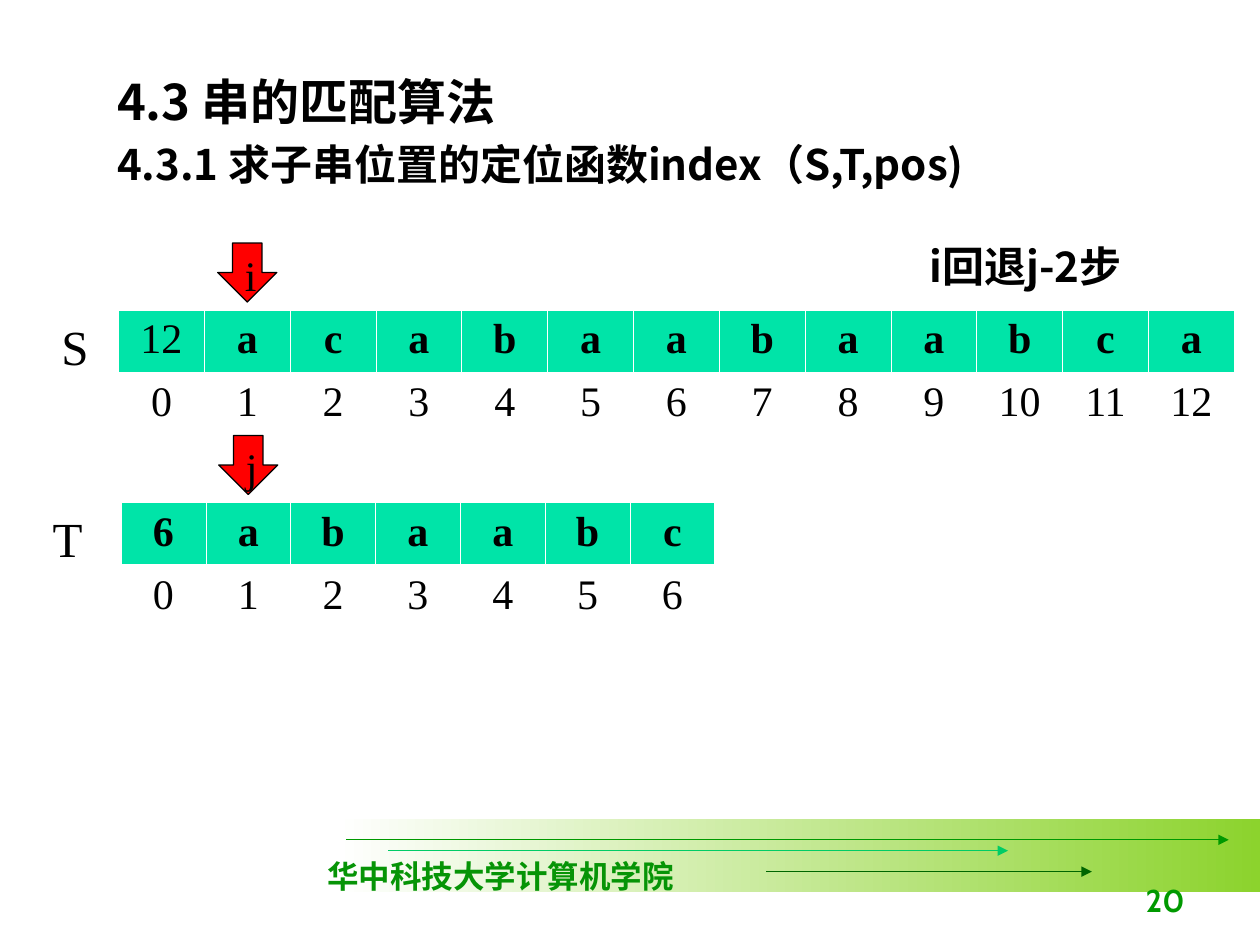
import pptx
import pptx.dml.color
import pptx.enum.dml
import pptx.enum.shapes
import pptx.enum.text
import pptx.oxml
import pptx.oxml.ns
import pptx.util

Cm = pptx.util.Cm
Pt = pptx.util.Pt
ALIGN = pptx.enum.text.PP_ALIGN
ANCHOR = pptx.enum.text.MSO_ANCHOR
SERIF = "Times New Roman"
CHINESE = "Noto Sans CJK SC"
ROW_HEIGHT = 1.27
ARROW_SIZE = 1.19


def rgb(value):
    return pptx.dml.color.RGBColor.from_string(value)


def xml(tag, attributes="", content=""):
    return pptx.oxml.parse_xml(
        f'<a:{tag} {pptx.oxml.ns.nsdecls("a")} {attributes}>{content}</a:{tag}>')


def write(frame, text, size, font=SERIF, color="000000", bold=False, align=ALIGN.LEFT):
    paragraph = frame.paragraphs[0]
    paragraph.alignment = align
    run = paragraph.add_run()
    run.text = text
    run.font.size = Pt(size)
    run.font.bold = bold
    run.font.color.rgb = rgb(color)
    run.font.name = font
    run.font._element.append(xml("ea", f'typeface="{CHINESE}"'))


def add_label(slide, box, text, size, wrap=True, anchor=ANCHOR.TOP, **style):
    frame = slide.shapes.add_textbox(*map(Cm, box)).text_frame
    frame.word_wrap = wrap
    frame.vertical_anchor = anchor
    write(frame, text, size, **style)


def add_footer(slide, left, top, width, height):
    band = slide.shapes.add_shape(
        pptx.enum.shapes.MSO_SHAPE.RECTANGLE, Cm(left), Cm(top), Cm(width), Cm(height))
    band.shadow.inherit = False
    band.line.fill.background()
    band.fill.gradient()
    band.fill.gradient_angle = 0
    for stop, color in zip(band.fill.gradient_stops, ("FFFFFF", "8CD32D")):
        stop.color.rgb = rgb(color)

    for start, end, drop, color in ((0.2, 17.99, 0.42, "009900"),
                                    (1.05, 13.54, 0.64, "00CC66"),
                                    (8.67, 15.23, 1.06, "006600")):
        arrow = slide.shapes.add_connector(
            pptx.enum.shapes.MSO_CONNECTOR.STRAIGHT,
            Cm(left + start), Cm(top + drop), Cm(left + end), Cm(top + drop))
        arrow.line.color.rgb = rgb(color)
        arrow.line.width = Pt(0.75)
        arrow.line._get_or_add_ln().append(xml("tailEnd", 'type="triangle"'))
        arrow._element.spPr.append(xml("effectLst"))

    add_label(slide, (left - 0.43, top + 0.64, 7.49, 1.02), "华中科技大学计算机学院", 18,
              wrap=False, color="069406", bold=True)
    add_label(slide, (left + 12.07, top + 0.86, 5.28, 1.27), "20", 18,
              anchor=ANCHOR.BOTTOM, font="Cabin", color="009900", bold=True, align=ALIGN.RIGHT)


def add_headings(slide, left, top, width):
    add_label(slide, (left, top, width, 2.64), "4.3 串的匹配算法", 28, font=CHINESE, bold=True)
    add_label(slide, (left, top + 1.35, width, ROW_HEIGHT),
              "4.3.1 求子串位置的定位函数index（S,T,pos)", 24, font=CHINESE, bold=True)


def set_borders(cell, top_width, bottom_width):
    widths = {"lnL": 0.45, "lnR": 0.45, "lnT": top_width, "lnB": bottom_width}
    white = '<a:solidFill><a:srgbClr val="FFFFFF"/></a:solidFill>'
    properties = cell._tc.get_or_add_tcPr()
    for position, (side, width) in enumerate(widths.items()):
        properties.insert(position, xml(side, f'w="{Pt(width)}"', white))


def add_pointer(slide, left, top, name):
    pointer = slide.shapes.add_shape(
        pptx.enum.shapes.MSO_SHAPE.DOWN_ARROW, Cm(left), Cm(top), Cm(ARROW_SIZE), Cm(ARROW_SIZE))
    pointer.shadow.inherit = False
    pointer.fill.solid()
    pointer.fill.fore_color.rgb = rgb("FF0000")
    pointer.line.color.rgb = rgb("000000")
    pointer.line.width = Pt(0.75)
    pointer.text_frame.word_wrap = False
    pointer.text_frame.vertical_anchor = ANCHOR.TOP
    write(pointer.text_frame, name, 24)


def add_string(slide, left, top, cell_width, name, name_offset, pointer_name,
               length, characters, bold_length):
    columns = len(characters) + 1
    table = slide.shapes.add_table(2, columns, Cm(left), Cm(top),
                                   Cm(cell_width * columns), Cm(2 * ROW_HEIGHT)).table
    table.first_row = False
    table.horz_banding = False
    for column in table.columns:
        column.width = Cm(cell_width)

    for index, value in enumerate([length, *characters]):
        value_cell, index_cell = table.cell(0, index), table.cell(1, index)
        value_cell.fill.solid()
        value_cell.fill.fore_color.rgb = rgb("00E4A8")
        index_cell.fill.background()
        set_borders(value_cell, 0.45, 1.47)
        set_borders(index_cell, 1.47, 0.45)
        write(value_cell.text_frame, value, 24, bold=index > 0 or bold_length,
              align=ALIGN.CENTER)
        write(index_cell.text_frame, str(index), 24, align=ALIGN.CENTER)

    add_label(slide, (left - name_offset, top, 2.29, 1.45), name, 28)
    add_pointer(slide, left + 1.5 * cell_width - ARROW_SIZE / 2, top - 1.35, pointer_name)


def main():
    presentation = pptx.Presentation()
    presentation.slide_width = Cm(25.4)
    presentation.slide_height = Cm(19.05)
    slide = presentation.slides.add_slide(presentation.slide_layouts[6])
    add_footer(slide, 6.78, 16.51, 18.62, 1.47)
    add_headings(slide, 2.11, 1.32, 20.4)
    add_string(slide, 2.39, 6.25, 1.73, "S", 1.4, "i", "12", "acabaabaabca", False)
    add_string(slide, 2.44, 10.13, 1.71, "T", 1.63, "j", "6", "abaabc", True)
    add_label(slide, (18.49, 4.72, 5, ROW_HEIGHT), "i回退j-2步", 24, font=CHINESE, bold=True)
    presentation.save("out.pptx")


if __name__ == "__main__":
    main()
